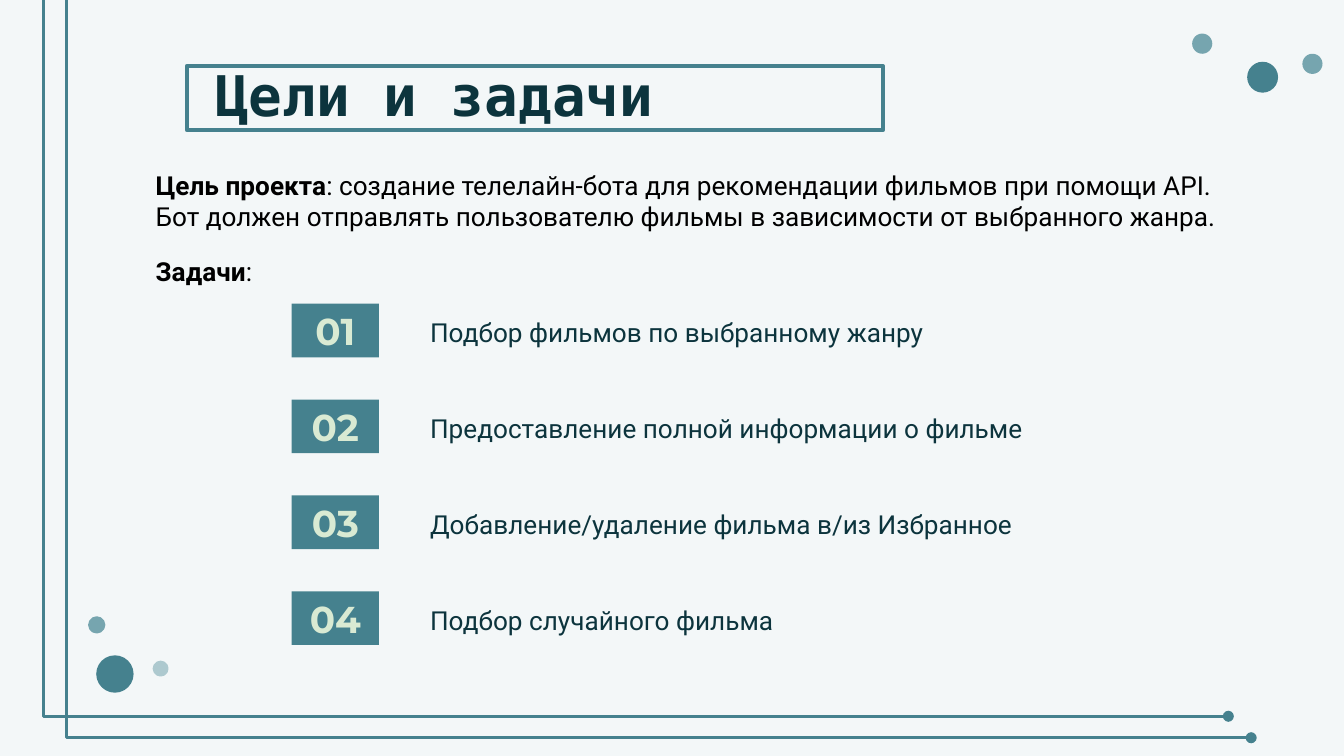
from lxml.etree import SubElement
from pptx import Presentation
from pptx.dml.color import RGBColor
from pptx.enum.shapes import MSO_CONNECTOR as CONN, MSO_SHAPE as SHAPE
from pptx.enum.text import MSO_ANCHOR as ANCHOR, MSO_AUTO_SIZE as AUTO, PP_ALIGN as ALIGN
from pptx.oxml.ns import qn
from pptx.util import Inches, Pt

WIDTH = 10
HEIGHT = WIDTH * 9 / 16

TEAL, MID, PALE = "45818E", "76A5AF", "ADC9CF"
DARK, BACK, MINT, BLACK = "0C343D", "F3F7F8", "D9EAD3", "000000"

TITLE = {"name": "DejaVu Sans Mono", "size": Pt(30), "bold": True}
BODY = {"name": "Roboto", "size": Pt(14), "bold": False}
STRONG = {**BODY, "bold": True}
NUMBER = {"name": "Montserrat", "size": Pt(20), "bold": True}

GOAL = [
    ("Цель проекта", STRONG),
    (": создание телелайн-бота для рекомендации фильмов при помощи API. "
     "Бот должен отправлять пользователю фильмы в зависимости от выбранного жанра.", BODY),
]
TASKS_LABEL = [("Задачи", STRONG), (":", BODY)]
TASKS = [
    "Подбор фильмов по выбранному жанру",
    "Предоставление полной информации о фильме",
    "Добавление/удаление фильма в/из Избранное",
    "Подбор случайного фильма",
]
TASK_STEP = 2.14 / 3

DOTS = [
    (9.28, 0.46, 0.23, TEAL), (8.87, 0.25, 0.15, MID), (9.69, 0.4, 0.15, MID),
]
OUTLINED_DOTS = [
    (0.73, 4.89, 0.25, TEAL), (0.67, 4.6, 0.1, MID), (1.15, 4.93, 0.09, PALE),
]


def rgb(value):
    return RGBColor.from_string(value)


def place(sp, box):
    for name, value in zip(("left", "top", "width", "height"), box):
        setattr(sp, name, Inches(value))


def set_frame(tf, inset, anchor=ANCHOR.TOP, auto_size=AUTO.NONE):
    values = {
        "word_wrap": True, "auto_size": auto_size, "vertical_anchor": anchor,
        "margin_left": Inches(0.1), "margin_right": Inches(0.1),
        "margin_top": Inches(inset), "margin_bottom": Inches(inset),
    }
    for name, value in values.items():
        setattr(tf, name, value)


def write(p, runs, color, align=ALIGN.LEFT, spacing=1.0):
    p.alignment, p.line_spacing, p.space_before = align, spacing, Pt(0)
    for text, style in runs:
        r = p.add_run()
        r.text = text
        for name, value in style.items():
            setattr(r.font, name, value)
        r.font.color.rgb = rgb(color)


def add_shape(s, kind, box, fill, line=None):
    sp = s.shapes.add_shape(kind, *map(Inches, box))
    sp.shadow.inherit = False
    sp.fill.solid()
    sp.fill.fore_color.rgb = rgb(fill)
    if line:
        sp.line.color.rgb = rgb(line)
        sp.line.width = Pt(2)
    else:
        sp.line.fill.background()
    return sp


def add_corner_line(s, x1, y1, x2, y2):
    line = s.shapes.add_connector(CONN.ELBOW, *map(Inches, (x1, y1, x2, y2)))
    line.line.color.rgb = rgb(TEAL)
    line.line.width = Pt(1.5)
    sp_pr = line._element.spPr
    guides = sp_pr.find(qn("a:prstGeom")).get_or_add_avLst()
    SubElement(guides, qn("a:gd"), name="adj1", fmla="val -1000")
    SubElement(sp_pr.find(qn("a:ln")), qn("a:tailEnd"), type="oval")
    SubElement(sp_pr, qn("a:effectLst"))


def add_title(s, text):
    frame = add_shape(s, SHAPE.RECTANGLE, (1.39, 0.49, 5.18, 0.48), BACK, TEAL)
    title = s.shapes.title
    frame._element.addnext(title._element)
    place(title, (1.5, 0.35, 8.43, 0.63))
    set_frame(title.text_frame, 0.1)
    write(title.text_frame.paragraphs[0], [(text, TITLE)], DARK)


def add_text(s, box, runs):
    tf = s.shapes.add_textbox(*map(Inches, box)).text_frame
    set_frame(tf, 0.05, auto_size=AUTO.SHAPE_TO_FIT_TEXT)
    write(tf.paragraphs[0], runs, BLACK)


def add_task(s, sp, index, text):
    offset = index * TASK_STEP
    place(sp, (3.1, 2.22 + offset, 4.64, 0.4))
    set_frame(sp.text_frame, 0.1)
    p = sp.text_frame.paragraphs[0]
    p_pr = p._p.get_or_add_pPr()
    p_pr.set("marL", "0")
    p_pr.set("indent", "0")
    SubElement(p_pr, qn("a:buNone"))
    write(p, [(text, BODY)], DARK, spacing=1.15)

    badge = add_shape(s, SHAPE.RECTANGLE, (2.17, 2.26 + offset, 0.65, 0.4), TEAL)
    set_frame(badge.text_frame, 0.1, ANCHOR.MIDDLE)
    write(badge.text_frame.paragraphs[0], [(f"{index + 1:02}", NUMBER)], MINT, ALIGN.CENTER)


def main():
    prs = Presentation()
    prs.slide_width, prs.slide_height = Inches(WIDTH), Inches(HEIGHT)
    s = prs.slides.add_slide(prs.slide_layouts.get_by_name("Comparison"))
    s.background.fill.solid()
    s.background.fill.fore_color.rgb = rgb(BACK)

    for x, y, size, color in DOTS:
        add_shape(s, SHAPE.OVAL, (x, y, size, size), color)
    add_corner_line(s, 0.41, -0.24, 9.14, 5.33)
    add_corner_line(s, 0.58, -0.07, 9.31, 5.49)

    add_title(s, "Цели и задачи")
    bodies = [sp for sp in s.placeholders if sp.placeholder_format.idx > 0]
    for index, (sp, text) in enumerate(zip(bodies, TASKS)):
        add_task(s, sp, index, text)
    add_text(s, (1.06, 1.21, 8.3, 0.57), GOAL)
    add_text(s, (1.06, 1.85, 1.23, 0.34), TASKS_LABEL)

    for x, y, size, color in OUTLINED_DOTS:
        add_shape(s, SHAPE.FLOWCHART_CONNECTOR, (x, y, size, size), color, color)

    prs.save("out.pptx")


if __name__ == "__main__":
    main()
